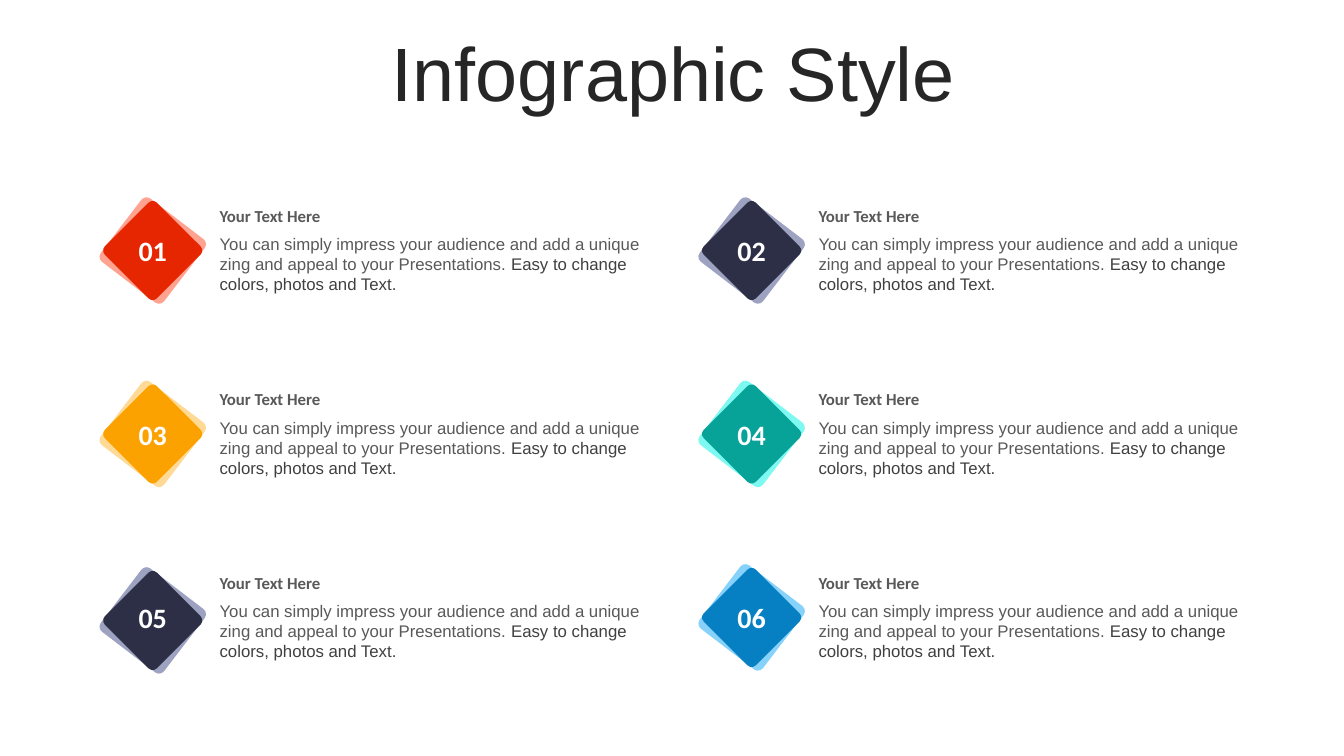
from dataclasses import dataclass

from pptx import Presentation
from pptx.dml.color import RGBColor
from pptx.enum.shapes import MSO_SHAPE
from pptx.enum.text import MSO_ANCHOR, MSO_AUTO_SIZE as AutoSize, PP_ALIGN
from pptx.slide import Slide
from pptx.util import Emu, Pt

EMU_PER_PX = 9144
COLUMN_LEFT, COLUMN_PITCH = 112, 594
ROW_TOP, ROW_PITCH = 209, 182
COLUMNS = 2

WHITE = RGBColor(0xFF, 0xFF, 0xFF)
TITLE_INK = RGBColor(0x26, 0x26, 0x26)
GREY = RGBColor(0x59, 0x59, 0x59)
DARK_GREY = RGBColor(0x40, 0x40, 0x40)
RED, PALE_RED = RGBColor(0xE6, 0x26, 0x01), RGBColor(0xFF, 0xA2, 0x90)
NAVY, PALE_NAVY = RGBColor(0x2C, 0x2F, 0x45), RGBColor(0x9E, 0xA2, 0xC1)
AMBER, PALE_AMBER = RGBColor(0xFB, 0xA2, 0x00), RGBColor(0xFF, 0xDA, 0x97)
TEAL, PALE_TEAL = RGBColor(0x07, 0xA3, 0x98), RGBColor(0x7D, 0xF9, 0xF1)
BLUE, PALE_BLUE = RGBColor(0x06, 0x80, 0xC3), RGBColor(0x87, 0xD2, 0xFB)


@dataclass(frozen=True)
class Run:
    text: str
    size: int
    font: str
    color: RGBColor
    bold: bool = False


@dataclass(frozen=True)
class Item:
    color: RGBColor
    pale: RGBColor
    icon_drop: int = 0


ITEMS = [
    Item(RED, PALE_RED),
    Item(NAVY, PALE_NAVY),
    Item(AMBER, PALE_AMBER),
    Item(TEAL, PALE_TEAL),
    Item(NAVY, PALE_NAVY, icon_drop=3),
    Item(BLUE, PALE_BLUE),
]
HEADING = [Run("Your Text Here", 12, "Calibri", GREY, True)]
BODY = [
    Run("You can simply impress your audience and add a unique zing and appeal "
        "to your Presentations. ", 12, "Arial", GREY),
    Run("Easy to change colors, photos and Text.", 12, "Arial", DARK_GREY),
]


def px(value: int) -> Emu:
    return Emu(value * EMU_PER_PX)


def add_runs(paragraph, runs: list[Run]) -> None:
    for item in runs:
        run = paragraph.add_run()
        run.text = item.text
        run.font.size = Pt(item.size)
        run.font.name = item.font
        run.font.bold = item.bold
        run.font.color.rgb = item.color


def add_title(slide: Slide, text: str) -> None:
    title = slide.shapes.title
    title.left, title.top, title.width, title.height = map(px, (35, 37, 1266, 79))
    frame = title.text_frame
    frame.auto_size = AutoSize.NONE
    frame.vertical_anchor = MSO_ANCHOR.MIDDLE
    paragraph = frame.paragraphs[0]
    paragraph.alignment = PP_ALIGN.CENTER
    paragraph.line_spacing = 0.9
    add_runs(paragraph, [Run(text, 54, "Arial", TITLE_INK)])


def add_diamond(slide: Slide, left: int, top: int, side: int,
                rotation: float, color: RGBColor) -> None:
    shape = slide.shapes.add_shape(
        MSO_SHAPE.ROUNDED_RECTANGLE, px(left), px(top), px(side), px(side))
    shape.adjustments[0] = 0.08
    shape.rotation = rotation
    shape.shadow.inherit = False
    shape.fill.solid()
    shape.fill.fore_color.rgb = color
    shape.line.fill.background()


def add_text(slide: Slide, left: int, top: int, width: int, height: int,
             runs: list[Run], align: PP_ALIGN = PP_ALIGN.LEFT) -> None:
    box = slide.shapes.add_textbox(px(left), px(top), px(width), px(height))
    frame = box.text_frame
    frame.word_wrap = True
    frame.auto_size = AutoSize.SHAPE_TO_FIT_TEXT
    paragraph = frame.paragraphs[0]
    paragraph.alignment = align
    add_runs(paragraph, runs)


def add_item(slide: Slide, index: int, item: Item) -> None:
    row, column = divmod(index, COLUMNS)
    left = COLUMN_LEFT + column * COLUMN_PITCH
    top = ROW_TOP + row * ROW_PITCH
    icon_top = top + item.icon_drop
    add_diamond(slide, left, icon_top, 79, 307.4, item.pale)
    add_diamond(slide, left + 3, icon_top + 3, 73, 315, item.color)
    number = Run(f"{index + 1:02}", 20, "Calibri", WHITE, True)
    add_text(slide, left + 15, top + 18, 49, 44, [number], PP_ALIGN.CENTER)
    add_text(slide, left + 96, top - 10, 440, 30, HEADING)
    add_text(slide, left + 96, top + 18, 440, 71, BODY)


def main() -> None:
    presentation = Presentation()
    presentation.slide_width = px(1333)
    presentation.slide_height = px(750)
    slide = presentation.slides.add_slide(presentation.slide_layouts[5])
    add_title(slide, "Infographic Style")
    for index, item in enumerate(ITEMS):
        add_item(slide, index, item)
    presentation.save("out.pptx")


if __name__ == "__main__":
    main()
